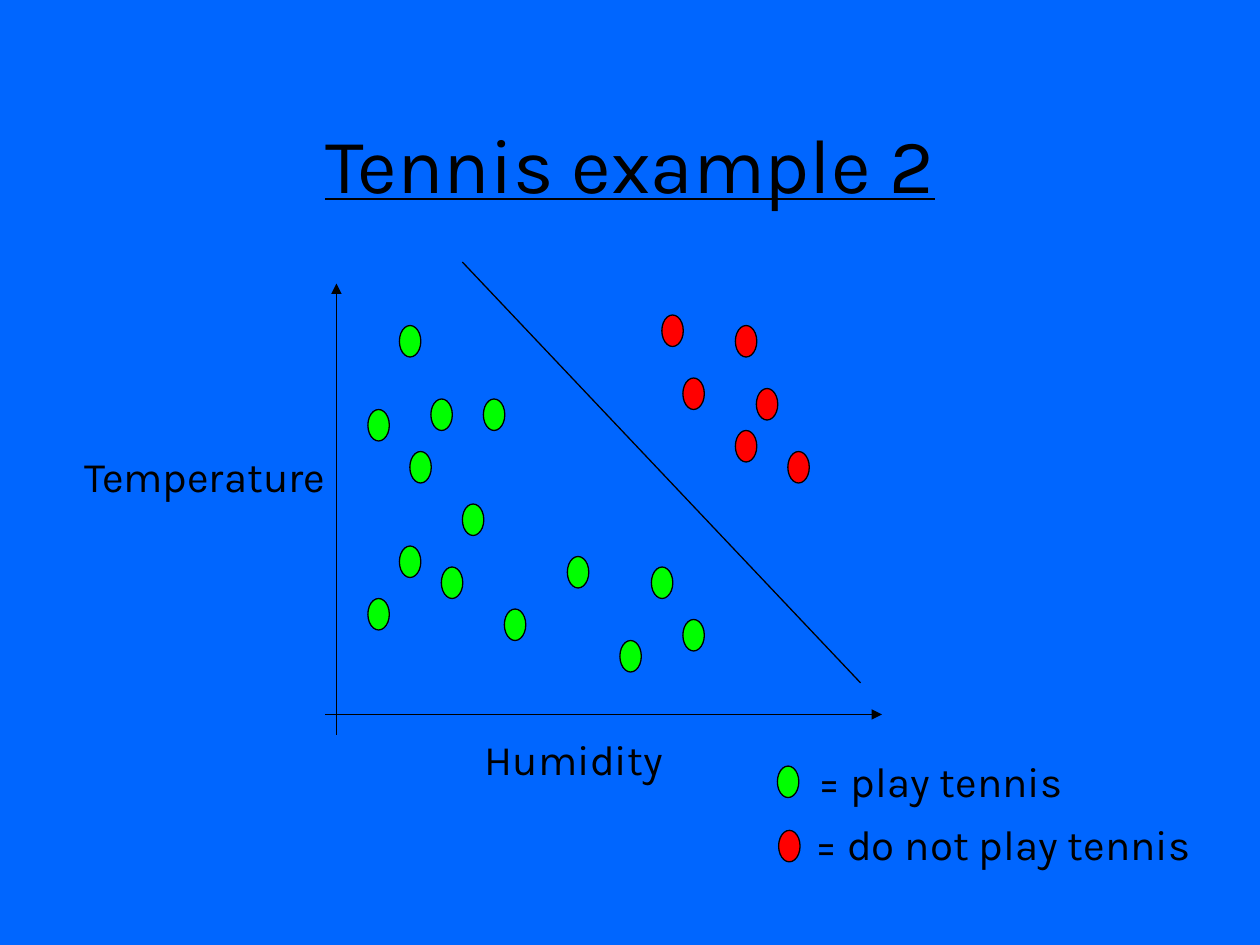
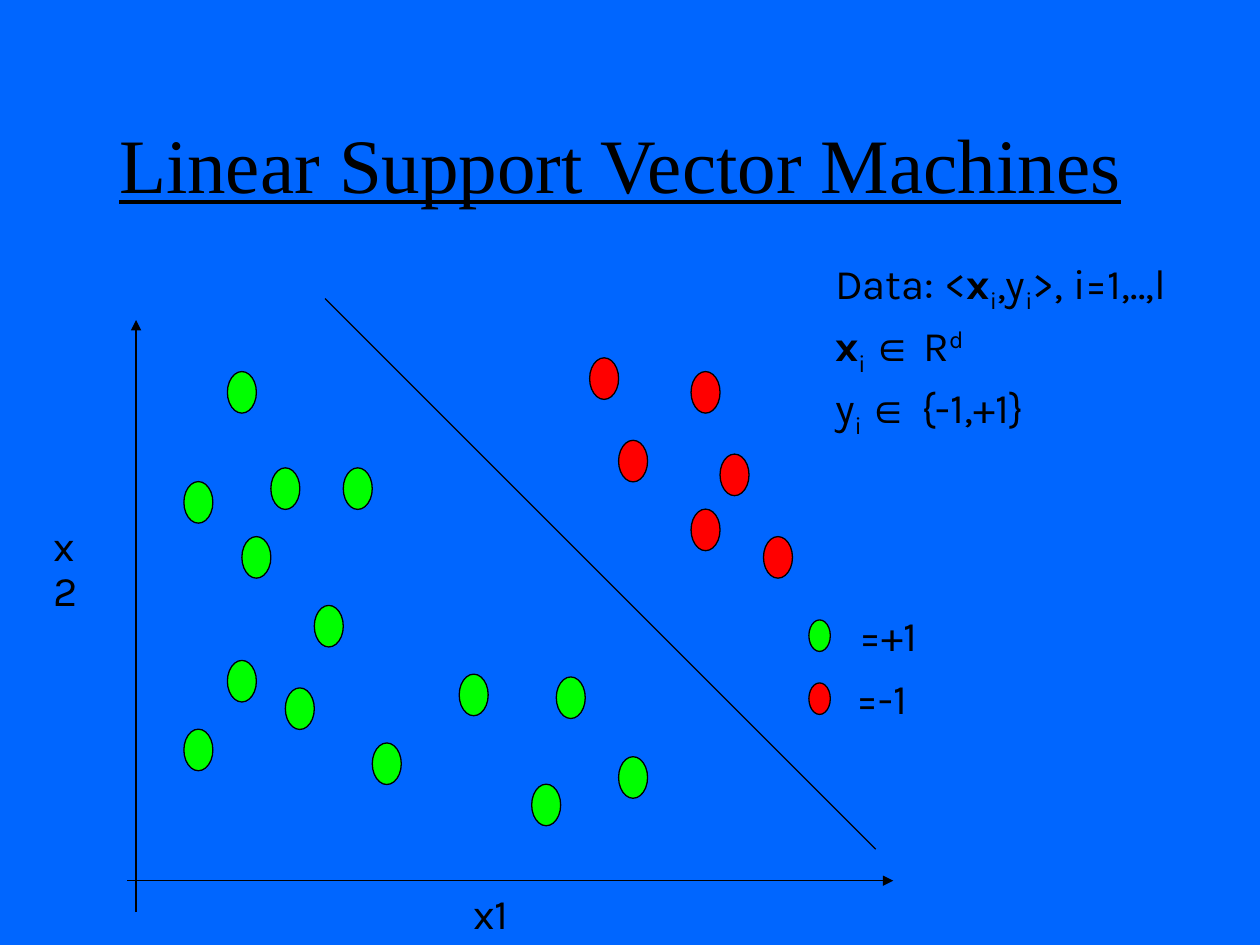
from lxml import etree
from pptx import Presentation
from pptx.dml.color import RGBColor
from pptx.enum.shapes import MSO_CONNECTOR, MSO_SHAPE
from pptx.enum.text import MSO_ANCHOR, MSO_AUTO_SIZE, PP_ALIGN
from pptx.oxml.ns import qn
from pptx.util import Inches, Pt

COLORS = {"background": "0066FF", "ink": "000000", "green": "00FF00", "red": "FF0000"}
BODY_FONT = "Karla"
LEGEND_DOT = (0.17, 0.25)

# Dots as (column, row) on a grid with 12 steps to the inch before scaling
GREEN_DOTS = [(3, 1), (6, 8), (11, 8), (4, 13), (0, 9), (3, 22), (7, 24), (0, 27),
              (9, 18), (13, 28), (24, 31), (19, 23), (30, 29)]
RED_DOTS = [(40, 13), (35, 11), (30, 6), (28, 0), (37, 7), (35, 1)]

SLIDES = [
    {
        "title": "Tennis example 2", "title_font": BODY_FONT, "title_tail": "",
        "origin": (2.92, 2.5), "scale": (1, 1), "dot": LEGEND_DOT,
        "near_border": (27, 24),
        "axes": [(2.67, 5.83, 2.67, 2.25), (2.58, 5.67, 7, 5.67)],
        "border": (3.67, 2.08, 6.83, 5.42),
        "legend": [("green", 6.17, 6.08), ("red", 6.18, 6.59)],
        "labels": [
            ((3.75, 5.82, 1.63, 0.46), [[("Humidity", "")]]),
            ((0.57, 3.57, 2.25, 0.46), [[("Temperature", "")]]),
            ((6.4, 5.99, 2.18, 0.46), [[("= play tennis", "")]]),
            ((6.37, 6.49, 3.28, 0.46), [[("= do not play tennis", "")]]),
        ],
    },
    {
        "title": "Linear Support Vector Machines", "title_font": "Times New Roman",
        "title_tail": " ",
        "origin": (1.46, 2.84), "scale": (1.38, 1.31), "dot": (0.23, 0.33),
        "near_border": (25.7, 23.2),
        "axes": [(1.08, 7.24, 1.08, 2.54), (1.01, 6.99, 7.09, 6.99)],
        "border": (2.58, 2.37, 6.95, 6.74),
        "legend": [("green", 6.42, 4.92), ("red", 6.42, 5.42)],
        "labels": [
            ((3.66, 7.04, 0.56, 0.46), [[("x1", "")]]),
            ((0.33, 4.12, 0.56, 0.46), [[("x2", "")]]),
            ((6.72, 4.83, 0.77, 0.46), [[("=+1", "")]]),
            ((6.7, 5.33, 0.69, 0.46), [[("=-1", "")]]),
            ((6.53, 2, 3.13, 1.94), [
                [("Data: <", ""), ("x", "bold"), ("i", "sub"), (",y", ""), ("i", "sub"),
                 (">, i=1,..,l", "")],
                [("x", "bold"), ("i ", "sub"), ("∈", "symbol"), (" R", ""), ("d", "super")],
                [("y", ""), ("i ", "sub"), ("∈ ", "symbol"), ("{-1,+1}", "")],
            ]),
        ],
    },
]


def color(name):
    return RGBColor.from_string(COLORS[name])


def add_label(slide, box, paragraphs):
    """Add a text box from paragraphs given as lists of (text, style) runs."""
    tf = slide.shapes.add_textbox(*map(Inches, box)).text_frame
    tf.word_wrap = False
    tf.auto_size = MSO_AUTO_SIZE.SHAPE_TO_FIT_TEXT
    for i, runs in enumerate(paragraphs):
        p = tf.add_paragraph() if i else tf.paragraphs[0]
        p.line_spacing = 0.9
        p.space_before = Pt(6)
        for text, style in runs:
            r = p.add_run()
            r.text = text
            r.font.size = Pt(24)
            r.font.name = "Arial" if style == "symbol" else BODY_FONT
            r.font.bold = style == "bold"
            r.font.color.rgb = color("ink")
            if style in ("sub", "super"):
                r.font._element.set("baseline", "-25000" if style == "sub" else "30000")


prs = Presentation()
prs.slide_width, prs.slide_height = Inches(10), Inches(7.5)
fill = prs.slide_master.background.fill
fill.solid()
fill.fore_color.rgb = color("background")

layout = prs.slide_layouts[5]
title = layout.placeholders[0]
title.left, title.top, title.width, title.height = map(Inches, (0.75, 0.67, 8.5, 1.25))
title.text_frame.vertical_anchor = MSO_ANCHOR.MIDDLE
title.text_frame.auto_size = MSO_AUTO_SIZE.NONE

for content in SLIDES:
    slide = prs.slides.add_slide(layout)
    slide.shapes.title.text_frame.text = content["title"]
    p = slide.shapes.title.text_frame.paragraphs[0]
    p.alignment = PP_ALIGN.CENTER
    if content["title_tail"]:
        p.add_run().text = content["title_tail"]
    for r in p.runs:
        r.font.name = content["title_font"]
        r.font.size = Pt(44)
        r.font.color.rgb = color("ink")
    p.runs[0].font.underline = True

    for ends in content["axes"] + [content["border"]]:
        line = slide.shapes.add_connector(MSO_CONNECTOR.STRAIGHT, *map(Inches, ends))
        line.line.color.rgb = color("ink")
        line.line.width = Pt(0.75)
        if ends in content["axes"]:
            etree.SubElement(line.line._get_or_add_ln(), qn("a:tailEnd"), type="triangle")
        etree.SubElement(line._element.spPr, qn("a:effectLst"))

    (left, top), (scale_x, scale_y) = content["origin"], content["scale"]
    grid = [("green", dot) for dot in GREEN_DOTS + [content["near_border"]]]
    grid += [("red", dot) for dot in RED_DOTS]
    dots = [(name, left + column * scale_x / 12, top + row * scale_y / 12, content["dot"])
            for name, (column, row) in grid]
    dots += [(*entry, LEGEND_DOT) for entry in content["legend"]]
    for name, x, y, size in dots:
        sp = slide.shapes.add_shape(MSO_SHAPE.OVAL, *map(Inches, (x, y, *size)))
        sp.shadow.inherit = False
        sp.fill.solid()
        sp.fill.fore_color.rgb = color(name)
        sp.line.color.rgb = color("ink")
        sp.line.width = Pt(0.75)

    for box, paragraphs in content["labels"]:
        add_label(slide, box, paragraphs)

prs.save("out.pptx")
